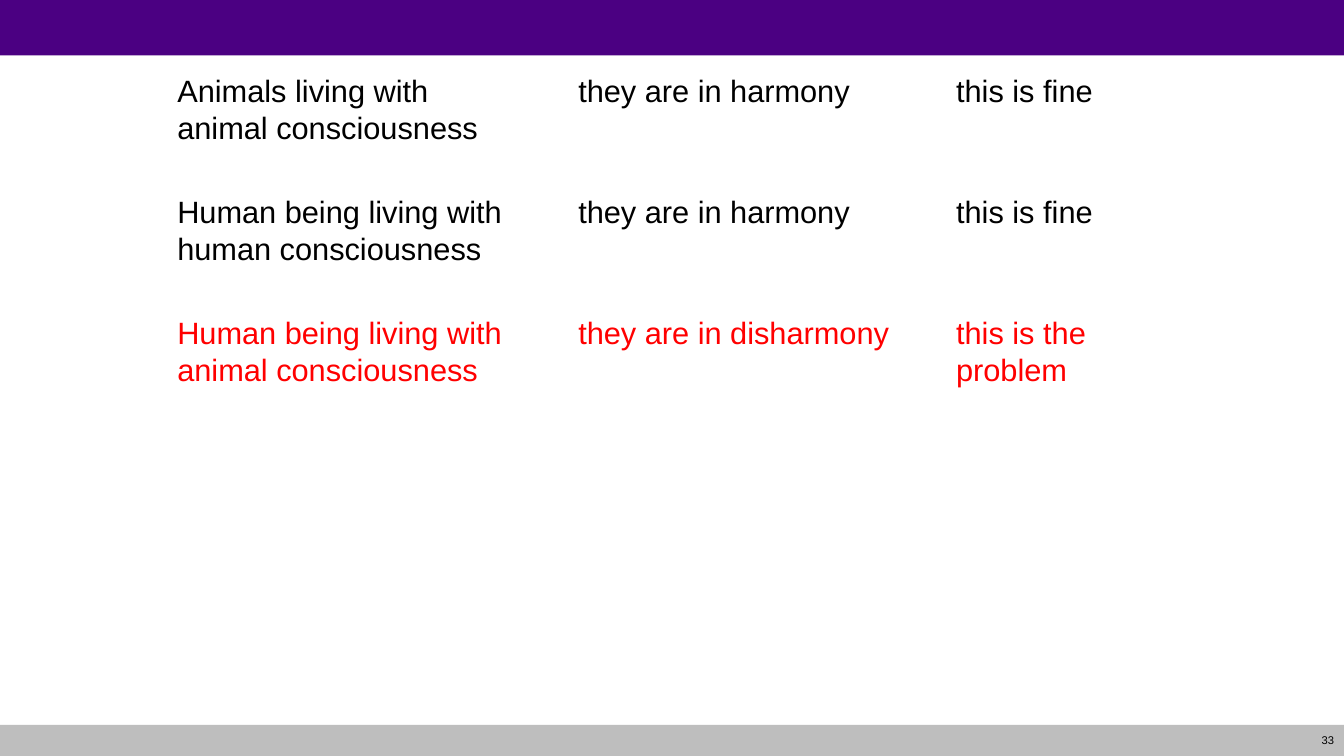
from lxml.etree import SubElement
from pptx import Presentation
from pptx.dml.color import RGBColor
from pptx.enum.shapes import MSO_SHAPE as Shape
from pptx.enum.text import MSO_ANCHOR as Anchor, PP_ALIGN as Align
from pptx.oxml.ns import qn
from pptx.util import Pt

PX = 9144  # 100 px to the inch
WIDTH, HEIGHT = 1334, 750
PURPLE = RGBColor(0x4B, 0x00, 0x82)
GRAY = RGBColor(0xBE, 0xBE, 0xBE)
WHITE = RGBColor(0xFF, 0xFF, 0xFF)
BLACK = RGBColor(0x00, 0x00, 0x00)
RED = RGBColor(0xFF, 0x00, 0x00)

THIN, THICK = Pt(0.45), Pt(1.47)
COLS = (398, 375, 225)
ROWS = (120, 120, 93)
BODY = {"name": "Arial", "size": Pt(22), "bold": False}
SMALL = {"name": "Arial", "size": Pt(8)}
INSET = {"margin_left": 8 * PX, "margin_right": 8 * PX,
         "margin_top": 5 * PX, "margin_bottom": 5 * PX}
PLAIN = {"first_row": False, "horz_banding": False}

# Row colour, then the three cell texts
STATES = (
    (BLACK, "Animals living with\nanimal consciousness",
     "they are in harmony", "this is fine"),
    (BLACK, "Human being living with human consciousness",
     "they are in harmony", "this is fine"),
    (RED, "Human being living with animal consciousness",
     "they are in disharmony", "this is the problem"),
)


def apply(obj, values):
    for key, value in values.items():
        setattr(obj, key, value)


def write(frame, text, style, color, layout):
    """Fill a text frame, one paragraph to each line of text."""
    frame.text = text
    for para in frame.paragraphs:
        apply(para, layout)
        for run in para.runs:
            apply(run.font, style)
            run.font.color.rgb = color


def add_bar(slide, top, height, color):
    bar = slide.shapes.add_shape(
        Shape.RECTANGLE, 0, top * PX, WIDTH * PX, height * PX)
    bar.shadow.inherit = False
    bar.fill.solid()
    bar.fill.fore_color.rgb = color
    bar.line.fill.background()


def add_number(slide, text):
    box = slide.shapes.add_textbox(1271 * PX, 719 * PX, 63 * PX, 31 * PX)
    frame = box.text_frame
    apply(frame, {"word_wrap": True, "vertical_anchor": Anchor.MIDDLE})
    write(frame, text, SMALL, BLACK, {"alignment": Align.RIGHT})


def add_edges(cell, widths):
    """Draw white borders; they must come before the cell fill."""
    props = cell._tc.get_or_add_tcPr()
    for index, (side, width) in enumerate(zip("LRTB", widths)):
        line = SubElement(props, qn(f"a:ln{side}"), w=str(width))
        fill = SubElement(line, qn("a:solidFill"))
        SubElement(fill, qn("a:srgbClr"), val=str(WHITE))
        props.insert(index, line)


def add_states(slide):
    table = slide.shapes.add_table(
        len(ROWS), len(COLS), 168 * PX, 67 * PX,
        sum(COLS) * PX, sum(ROWS) * PX).table
    apply(table, PLAIN)
    for col, width in zip(table.columns, COLS):
        col.width = width * PX
    for index, (color, *texts) in enumerate(STATES):
        row = table.rows[index]
        row.height = ROWS[index] * PX
        top = THICK if index == 1 else THIN
        low = THICK if index == 0 else THIN
        for cell, text in zip(row.cells, texts):
            apply(cell, INSET)
            cell.fill.solid()
            cell.fill.fore_color.rgb = WHITE
            add_edges(cell, (THIN, THIN, top, low))
            write(cell.text_frame, text, BODY, color, {"line_spacing": 1.07})


def main():
    deck = Presentation()
    apply(deck, {"slide_width": WIDTH * PX, "slide_height": HEIGHT * PX})
    slide = deck.slides.add_slide(deck.slide_layouts[6])
    add_bar(slide, 0, 55, PURPLE)
    add_bar(slide, 719, 31, GRAY)
    add_number(slide, "33")
    add_states(slide)
    deck.save("out.pptx")


if __name__ == "__main__":
    main()
